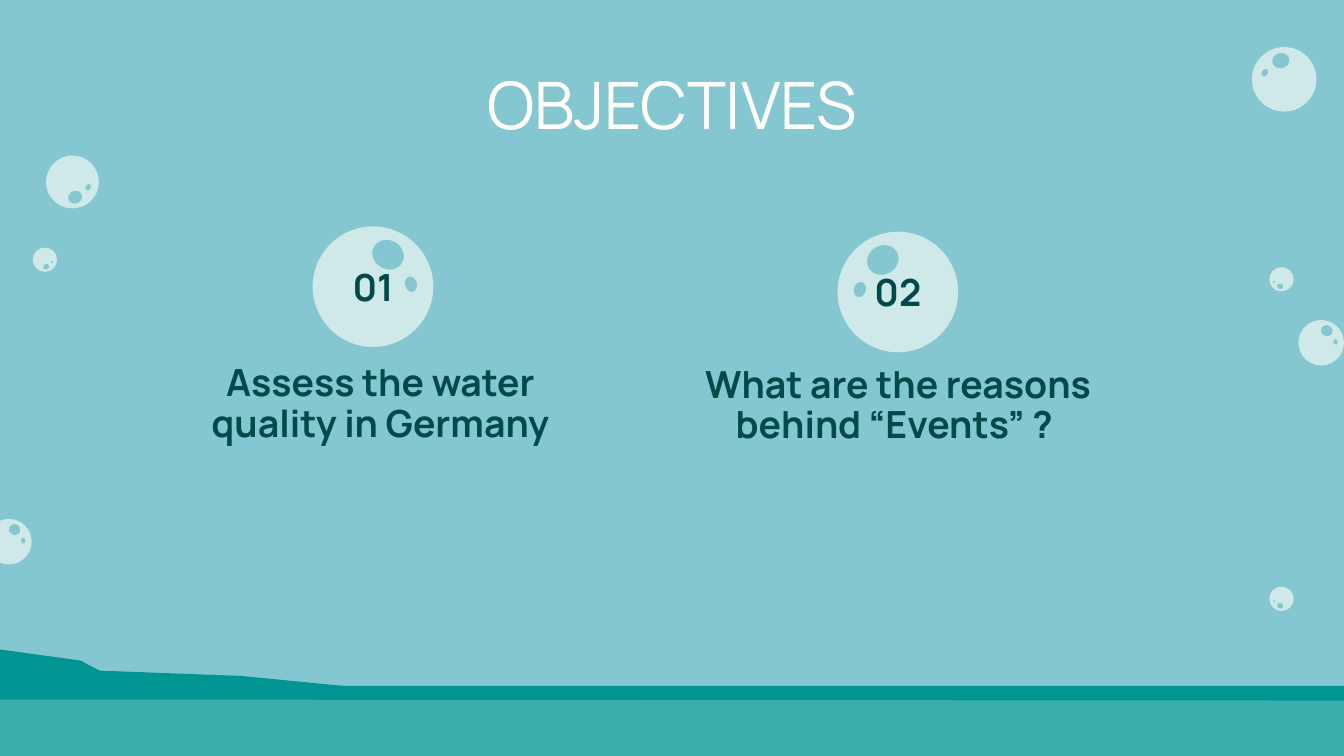
import math
from dataclasses import dataclass

import pptx
import pptx.dml.color
import pptx.enum.text
import pptx.oxml.ns
import pptx.util
from lxml import etree

Cm = pptx.util.Cm
qn = pptx.oxml.ns.qn
Point = tuple[float, float]


@dataclass(frozen=True)
class Theme:
    water: str = "84C7D1"
    bubble: str = "FFFEF8"
    bubble_alpha: int = 61
    hill: str = "009593"
    sand: str = "3AAEAD"
    title: str = "FFFEF8"
    text: str = "004A4A"
    font: str = "Manrope"
    title_size: int = 35
    text_size: int = 20


@dataclass(frozen=True)
class Bubble:
    """Centre and radius in cm; turn in degrees, clockwise."""
    x: float
    y: float
    r: float
    turn: float = 0
    mirrored: bool = False


@dataclass(frozen=True)
class Ring:
    """An ellipse inside a bubble of radius 1."""
    x: float
    y: float
    rx: float
    ry: float
    tilt: float


@dataclass(frozen=True)
class Objective:
    number: str
    caption: str
    bubble: Bubble
    left: float
    top: float
    width: float


THEME = Theme()
WIDTH, HEIGHT = 25.4, 14.29
WATERLINE = 12.98
CAPTION_HEIGHT = 1.09
NUMBER_SIZE = (1.98, 1.02)

RIM = Ring(0, 0, 1, 1, 0)
HOLES = [Ring(0.25, -0.53, 0.27, 0.24, 30), Ring(0.63, -0.04, 0.1, 0.13, -15)]

SEABED = [
    ([(0, WATERLINE), (0, HEIGHT), (WIDTH, HEIGHT), (WIDTH, WATERLINE)], THEME.sand, False),
    ([(0, 12.29), (1.52, 12.5), (1.88, 12.69), (4.55, 12.79), (6.5, WATERLINE),
      (0, WATERLINE)], THEME.hill, True),
    ([(WIDTH, WATERLINE), (WIDTH, 13.23), (0, 13.21), (0, WATERLINE)], THEME.hill, True),
]

BUBBLES = [
    Bubble(1.37, 3.44, 0.5, 195, True),
    Bubble(0.85, 4.91, 0.23, 195, True),
    Bubble(24.27, 1.5, 0.61, 15, True),
    Bubble(24.22, 5.28, 0.23, 165),
    Bubble(24.97, 6.48, 0.43),
    Bubble(24.22, 11.32, 0.23, 165),
    Bubble(0.17, 10.24, 0.43),
]

OBJECTIVES = [
    Objective("01", "Assess the water quality in Germany",
              Bubble(7.05, 5.42, 1.14), 3.33, 7.11, 7.72),
    Objective("02", "What are the reasons behind “Events” ? ",
              Bubble(16.97, 5.52, 1.14, mirrored=True), 12.62, 7.14, 8.71),
]


def rgb(color: str) -> pptx.dml.color.RGBColor:
    return pptx.dml.color.RGBColor.from_string(color)


def turned(x: float, y: float, degrees: float) -> Point:
    a = math.radians(degrees)
    return x * math.cos(a) - y * math.sin(a), x * math.sin(a) + y * math.cos(a)


def draw_outline(s, contours: list[list[Point]], color: str, outlined: bool = False):
    """Draw closed contours as one shape; inner contours become holes."""
    builder = None
    for contour in contours:
        start, *rest = [(Cm(x), Cm(y)) for x, y in contour]
        if builder is None:
            builder = s.shapes.build_freeform(*start)
        else:
            builder.move_to(*start)
        builder.add_line_segments(rest, close=True)
    sp = builder.convert_to_shape()
    sp.shadow.inherit = False
    sp.fill.solid()
    sp.fill.fore_color.rgb = rgb(color)
    if outlined:
        sp.line.color.rgb = rgb(color)
        sp.line.width = pptx.util.Pt(0.75)
    else:
        sp.line.fill.background()
    return sp


def ring_points(bubble: Bubble, ring: Ring) -> list[Point]:
    """Start point, then two control points and an end point per quarter."""
    k = 0.55
    quarter = [(1, 0), (1, k), (k, 1)]
    unit = [turned(x, y, 90 * i) for i in range(4) for x, y in quarter] + [(1, 0)]
    flip = -1 if bubble.mirrored else 1
    cx, cy = turned(flip * ring.x, ring.y, bubble.turn)
    tilt = 0 if ring.rx == ring.ry else flip * ring.tilt + bubble.turn
    points = []
    for x, y in unit:
        dx, dy = turned(ring.rx * x, ring.ry * y, tilt)
        points.append((bubble.x + bubble.r * (cx + dx), bubble.y + bubble.r * (cy + dy)))
    return points


def curve_segments(sp) -> None:
    """Turn every three straight segments into one Bezier curve."""
    lines = list(sp._element.iter(qn("a:lnTo")))
    for first, second, third in zip(lines[::3], lines[1::3], lines[2::3]):
        curve = etree.Element(qn("a:cubicBezTo"))
        first.addprevious(curve)
        for line in (first, second, third):
            curve.append(line[0])
            line.getparent().remove(line)


def draw_bubble(s, bubble: Bubble) -> None:
    contours = [ring_points(bubble, RIM)]
    contours += [ring_points(bubble, hole)[::-1] for hole in HOLES]
    sp = draw_outline(s, contours, THEME.bubble)
    curve_segments(sp)
    clr = next(sp._element.spPr.iter(qn("a:srgbClr")))
    etree.SubElement(clr, qn("a:alpha"), val=str(THEME.bubble_alpha * 1000))


def draw_text(s, text: str, left: float, top: float, width: float, height: float,
              size: int, color: str, bold: bool = True, spacing: float = 0.9) -> None:
    tf = s.shapes.add_textbox(Cm(left), Cm(top), Cm(width), Cm(height)).text_frame
    frame = {"word_wrap": True, "vertical_anchor": pptx.enum.text.MSO_ANCHOR.MIDDLE}
    frame |= {f"margin_{side}": Cm(0.25) for side in ("left", "top", "right", "bottom")}
    p = tf.paragraphs[0]
    r = p.add_run()
    r.text = text
    formats = [
        (tf, frame),
        (p, {"alignment": pptx.enum.text.PP_ALIGN.CENTER, "line_spacing": spacing}),
        (r.font, {"name": THEME.font, "size": pptx.util.Pt(size), "bold": bold}),
    ]
    for target, values in formats:
        for name, value in values.items():
            setattr(target, name, value)
    r.font.color.rgb = rgb(color)


def main() -> None:
    prs = pptx.Presentation()
    prs.slide_width, prs.slide_height = Cm(WIDTH), Cm(HEIGHT)
    s = prs.slides.add_slide(prs.slide_layouts[6])
    s.background.fill.solid()
    s.background.fill.fore_color.rgb = rgb(THEME.water)

    for points, color, outlined in SEABED:
        draw_outline(s, [points], color, outlined)
    for bubble in BUBBLES:
        draw_bubble(s, bubble)

    draw_text(s, "OBJECTIVES", 2, 1.24, 21.4, 1.6, THEME.title_size, THEME.title, bold=False)
    for o in OBJECTIVES:
        draw_text(s, o.caption, o.left, o.top, o.width, CAPTION_HEIGHT,
                  THEME.text_size, THEME.text)
        draw_bubble(s, o.bubble)
        w, h = NUMBER_SIZE
        draw_text(s, o.number, o.bubble.x - w / 2, o.bubble.y - h / 2, w, h,
                  THEME.text_size, THEME.text, spacing=1.0)

    prs.save("out.pptx")


if __name__ == "__main__":
    main()
